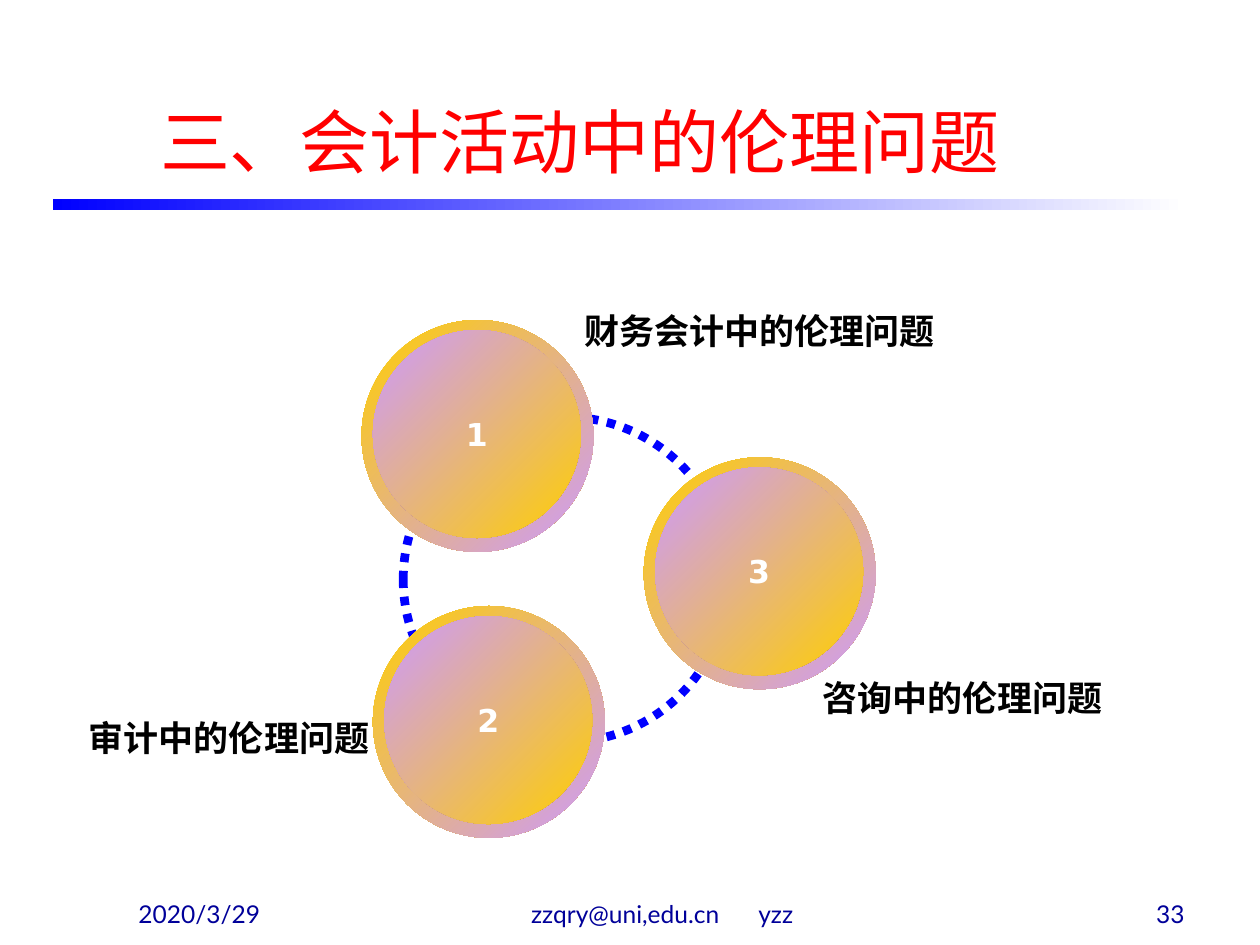
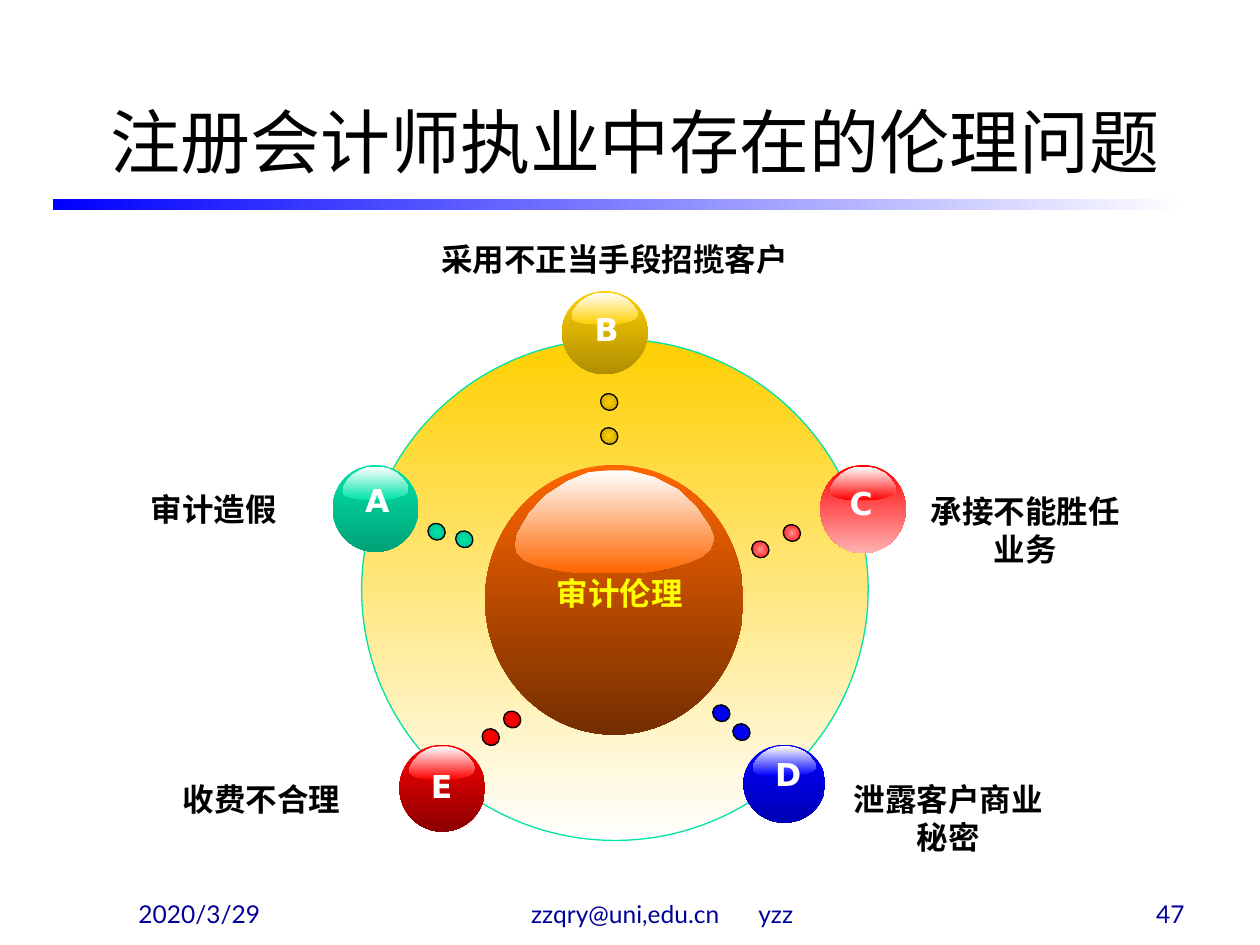
import pptx
import pptx.util
import pptx.dml.color
import pptx.enum.dml
import pptx.enum.shapes
import pptx.enum.text
import pptx.oxml
import pptx.oxml.ns

RGBColor = pptx.dml.color.RGBColor
Align = pptx.enum.text.PP_ALIGN
Anchor = pptx.enum.text.MSO_ANCHOR
Preset = pptx.enum.shapes.MSO_SHAPE

# Colours
BLACK = RGBColor(0x00, 0x00, 0x00)
WHITE = RGBColor(0xFF, 0xFF, 0xFF)
RED = RGBColor(0xFF, 0x00, 0x00)
BLUE = RGBColor(0x00, 0x00, 0xFF)
NAVY = RGBColor(0x00, 0x00, 0x99)
YELLOW = RGBColor(0xFF, 0xFF, 0x00)
GOLD = RGBColor(0xFF, 0xCF, 0x01)
LILAC = RGBColor(0xCC, 0x99, 0xFF)
TEAL = RGBColor(0x00, 0xE4, 0xA8)
ORANGE = RGBColor(0xFF, 0x66, 0x00)
BROWN = RGBColor(0x74, 0x2E, 0x00)
DARK_GOLD = RGBColor(0xB0, 0x8E, 0x01)
DARK_RED = RGBColor(0x8A, 0x00, 0x00)
DARK_BLUE = RGBColor(0x00, 0x00, 0xB5)
DARK_TEAL = RGBColor(0x00, 0xA2, 0x77)
PINK = RGBColor(0xFF, 0xB0, 0xB0)
ROSE = RGBColor(0xFF, 0x8A, 0x8A)
DOT_RED = RGBColor(0xD6, 0x00, 0x00)
DOT_BLUE = RGBColor(0x00, 0x00, 0xD6)
DOT_TEAL = RGBColor(0x00, 0xB3, 0x84)
DOT_GOLD = RGBColor(0xBA, 0x97, 0x01)

# Fonts
BODY_FONT, DIAGRAM_FONT, LABEL_FONT = "Lato", "DejaVu Sans", "Arial"

# Grid of 100 columns and 75 rows over the whole slide
SLIDE_WIDTH, SLIDE_HEIGHT = pptx.util.Inches(10), pptx.util.Inches(7.5)
COLUMN, ROW = SLIDE_WIDTH / 100, SLIDE_HEIGHT / 75

# Outline of a ball's highlight, in percent of its own box
HIGHLIGHT = [
    (98, 56), (100, 67), (98, 77), (94, 84), (87, 90), (78, 95), (68, 99),
    (60, 100), (36, 100), (26, 99), (18, 96), (11, 93), (5, 88), (1, 81),
    (0, 73), (1, 62), (7, 42), (15, 25), (26, 11), (37, 2), (47, 0),
    (57, 0), (70, 7), (82, 19), (91, 36)]


def place(box):
    """Turn (column, row, columns, rows) into slide lengths."""
    left, top, width, height = box
    return (round(left * COLUMN), round(top * ROW),
            round(width * COLUMN), round(height * ROW))


def write(shape, text, size=18, font=BODY_FONT, color=BLACK, bold=False,
          align=Align.CENTER, anchor=Anchor.TOP, wrap=True):
    """Write one paragraph into a shape and return it."""
    frame = shape.text_frame
    frame.word_wrap = wrap
    frame.vertical_anchor = anchor
    paragraph = frame.paragraphs[0]
    paragraph.alignment = align
    add_run(paragraph, text, size, font, color, bold)
    return paragraph


def add_run(paragraph, text, size, font, color, bold=False):
    run = paragraph.add_run()
    run.text = text
    run.font.size = pptx.util.Pt(size)
    run.font.name = font
    run.font.bold = bold
    run.font.color.rgb = color
    return run


def add_text(slide, box, text, **style):
    return write(slide.shapes.add_textbox(*place(box)), text, **style)


def paint(shape, start=None, end=None, angle=90, line=None, line_width=0.75):
    """Fill with a gradient (angle clockwise) and draw or hide the outline."""
    shape.shadow.inherit = False
    if start is None:
        shape.fill.background()
    else:
        shape.fill.gradient()
        shape.fill.gradient_angle = -angle % 360
        for stop, color in zip(shape.fill.gradient_stops, (start, end)):
            stop.color.rgb = color
    if line is None:
        shape.line.fill.background()
    else:
        shape.line.color.rgb = line
        shape.line.width = pptx.util.Pt(line_width)


def add_shape(slide, box, preset=Preset.OVAL, **look):
    shape = slide.shapes.add_shape(preset, *place(box))
    paint(shape, **look)
    return shape


def add_disc(slide, left, top, number):
    """Numbered disc: a ring and an inner circle with reversed gradients."""
    add_shape(slide, (left, top, 18.4, 18.4), start=GOLD, end=LILAC, angle=45)
    inner = add_shape(slide, (left + 0.9, top + 0.8, 16.5, 16.5),
                      start=LILAC, end=GOLD, angle=45)
    write(inner, number, font=DIAGRAM_FONT, color=WHITE, bold=True,
          anchor=Anchor.MIDDLE, wrap=False)


def add_ball(slide, box, color, shade):
    """Glossy ball: a shaded circle with a highlight near its top."""
    add_shape(slide, box, start=color, end=shade)
    left, top, width, height = place(box)
    points = [(round(left + width * (0.117 + 0.77 * x / 100)),
               round(top + height * (0.02 + 0.38 * y / 100)))
              for x, y in HIGHLIGHT]
    builder = slide.shapes.build_freeform(*points[0])
    builder.add_line_segments(points[1:], close=True)
    paint(builder.convert_to_shape(), start=WHITE, end=color)


def add_dot(slide, left, top, color, shade):
    """Small outlined dot whose gradient runs from its edge to its centre."""
    dot = add_shape(slide, (left, top, 1.3, 1.4), start=color, end=shade,
                    line=BLACK)
    dot.rotation = 303.8
    linear = dot._element.spPr.find(".//" + pptx.oxml.ns.qn("a:lin"))
    radial = pptx.oxml.parse_xml(
        '<a:path %s path="shape"><a:fillToRect l="50000" t="50000" '
        'r="50000" b="50000"/></a:path>' % pptx.oxml.ns.nsdecls("a"))
    linear.getparent().replace(linear, radial)


def add_page(presentation, title, title_columns, title_color, number):
    """Slide with the shared title, band and footers."""
    slide = presentation.slides.add_slide(presentation.slide_layouts[5])
    add_shape(slide, (4.2, 15.8, 90, 0.9), Preset.RECTANGLE,
              start=BLUE, end=WHITE, angle=0)

    heading = slide.shapes.title
    heading.left, heading.top, heading.width, heading.height = place(
        (7.5, 6.8, title_columns, 8.2))
    write(heading, title, size=40, color=title_color, anchor=Anchor.BOTTOM)

    footer = dict(size=14, color=NAVY, anchor=Anchor.BOTTOM)
    add_text(slide, (10, 69.2, 20.8, 5), "2020/3/29", align=Align.LEFT, **footer)
    add_text(slide, (74.2, 69.2, 20.8, 5), number, align=Align.RIGHT, **footer)
    contact = add_text(slide, (36.7, 69.2, 31.7, 5), "zzqry@uni,edu.cn", **footer)
    # One widely spaced blank separates address and initials
    gap = add_run(contact, " ", 14, BODY_FONT, NAVY)
    gap.font._element.set("spc", "1850")
    add_run(contact, "yzz", 14, BODY_FONT, NAVY)
    return slide


def build_activity_slide(presentation):
    slide = add_page(presentation, "三、会计活动中的伦理问题", 77, RED, "33")

    # Dotted orbit behind the discs
    orbit = add_shape(slide, (32, 33.1, 25.8, 25.8), line=BLUE, line_width=5)
    orbit.line.dash_style = pptx.enum.dml.MSO_LINE.ROUND_DOT

    # Topic labels
    for box, text, align in [
            ((45.4, 24.1, 32.2, 4.3), "财务会计中的伦理问题", Align.LEFT),
            ((4.3, 56.4, 26, 4.3), "审计中的伦理问题", Align.RIGHT),
            ((64.3, 53.2, 28.2, 6.7), "咨询中的伦理问题", Align.LEFT)]:
        add_text(slide, box, text, size=20, font=DIAGRAM_FONT, bold=True,
                 align=align)

    # Numbered discs
    for left, top, number in [(28.7, 25.4, "1"), (29.6, 48.1, "2"),
                              (51.1, 36.3, "3")]:
        add_disc(slide, left, top, number)


def build_audit_slide(presentation):
    slide = add_page(presentation, "注册会计师执业中存在的伦理问题", 85.8,
                     BLACK, "47")

    # Large circle and the central ball
    add_shape(slide, (28.7, 26.9, 40.2, 39.8), start=GOLD, end=WHITE, line=TEAL)
    add_ball(slide, (38.5, 36.9, 20.5, 21.4), ORANGE, BROWN)
    add_text(slide, (41.5, 45.1, 15.4, 5), "审计伦理", color=YELLOW,
             bold=True, wrap=False)

    # Lettered balls: box, colours, letter and the letter's corner
    for box, color, shade, letter, left, top in [
            ((44.6, 23.1, 6.8, 6.6), GOLD, DARK_GOLD, "B", 45.9, 24.1),
            ((31.7, 59.1, 6.8, 6.9), RED, DARK_RED, "E", 32.8, 60.4),
            ((65.1, 36.9, 6.8, 7), RED, PINK, "C", 66.1, 37.9),
            ((59, 59.1, 6.5, 6.2), BLUE, DARK_BLUE, "D", 60.3, 59.4),
            ((26.4, 36.9, 6.8, 6.9), TEAL, DARK_TEAL, "A", 27.7, 37.7)]:
        add_ball(slide, box, color, shade)
        add_text(slide, (left, top, 4.5, 5), letter, font=DIAGRAM_FONT,
                 color=WHITE, bold=True, wrap=False)

    # Pairs of dots between the centre and each ball
    for color, shade, corners in [
            (RED, DOT_RED, [(38.3, 57.8), (40, 56.4)]),
            (BLUE, DOT_BLUE, [(58.2, 57.4), (56.6, 55.9)]),
            (TEAL, DOT_TEAL, [(34, 41.5), (36.2, 42.1)]),
            (GOLD, DOT_GOLD, [(47.7, 31.2), (47.7, 33.9)]),
            (ROSE, RED, [(62.2, 41.6), (59.7, 42.9)])]:
        for left, top in corners:
            add_dot(slide, left, top, color, shade)

    # Issue labels
    for box, text in [
            ((7.5, 38.4, 18.9, 5), "审计造假"),
            ((27.5, 18.6, 42.5, 5), "采用不正当手段招揽客户"),
            ((71.9, 38.6, 18.9, 9), "承接不能胜任业务"),
            ((11.3, 61.4, 18.9, 5), "收费不合理"),
            ((65.8, 61.4, 18.9, 9), "泄露客户商业秘密")]:
        add_text(slide, box, text, font=LABEL_FONT, bold=True)


def main():
    presentation = pptx.Presentation()
    presentation.slide_width = SLIDE_WIDTH
    presentation.slide_height = SLIDE_HEIGHT
    build_activity_slide(presentation)
    build_audit_slide(presentation)
    presentation.save("out.pptx")


main()
